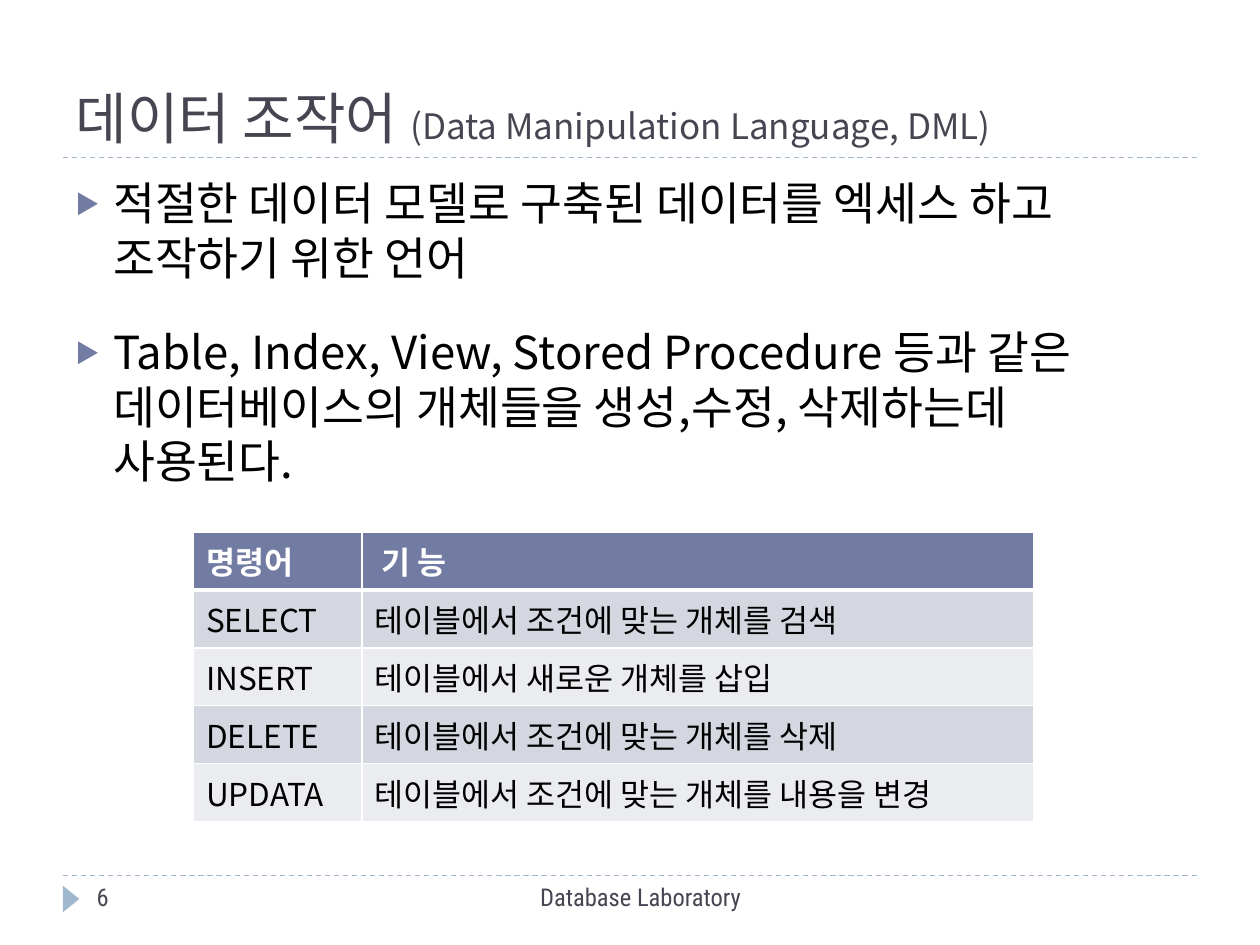
from dataclasses import dataclass

from pptx import Presentation
from pptx.dml.color import RGBColor
from pptx.enum.dml import MSO_LINE
from pptx.enum.shapes import MSO_CONNECTOR, MSO_SHAPE
from pptx.enum.text import MSO_ANCHOR, MSO_AUTO_SIZE, PP_ALIGN
from pptx.oxml import parse_xml
from pptx.oxml.ns import nsdecls
from pptx.util import Pt

KOREAN, CONDENSED = "Noto Sans CJK KR", "Roboto Condensed"
INK, BLACK, WHITE = "464653", "000000", "FFFFFF"
ACCENT, RULE = "727CA3", "9FB8CD"
BANDS = ("D5D7E0", "EBECF0")
MARGIN, CONTENT_WIDTH = 36, 648
RULE_HEIGHTS = (90, 500.4)
ROW_HEIGHT = 33.1
COLUMN_WIDTHS = (96.2, 383.8)


@dataclass(frozen=True)
class Frame:
    left: float
    top: float
    width: float
    height: float

    def lengths(self) -> tuple:
        return tuple(Pt(n) for n in (self.left, self.top, self.width, self.height))


@dataclass(frozen=True)
class Style:
    size: float
    color: str
    font: str = KOREAN
    bold: bool = False


@dataclass(frozen=True)
class Label:
    frame: Frame
    text: str
    align: PP_ALIGN


@dataclass(frozen=True)
class Command:
    name: str
    purpose: str


TITLE_FRAME = Frame(MARGIN, 12.2, CONTENT_WIDTH, 77.8)
BODY_FRAME = Frame(MARGIN, 96.5, CONTENT_WIDTH, 388)
TABLE_FRAME = Frame(110.6, 304, sum(COLUMN_WIDTHS), 5 * ROW_HEIGHT)
MARKER_FRAME = Frame(33.1, 509, 15.1, 9.4)

TITLE_SPANS = (
    ("데이터 조작어 ", Style(32, INK)),
    ("(Data Manipulation Language, DML)", Style(20, INK)),
)
POINTS = (
    "적절한 데이터 모델로 구축된 데이터를 엑세스 하고 조작하기 위한 언어",
    "Table, Index, View, Stored Procedure 등과 같은 데이터베이스의 개체들을 "
    "생성,수정, 삭제하는데 사용된다.",
)
COMMANDS = (
    Command("명령어", " 기 능"),
    Command("SELECT", "테이블에서 조건에 맞는 개체를 검색"),
    Command("INSERT", "테이블에서 새로운 개체를 삽입"),
    Command("DELETE", "테이블에서 조건에 맞는 개체를 삭제"),
    Command("UPDATA", "테이블에서 조건에 맞는 개체를 내용을 변경"),
)
FOOTERS = (
    Label(Frame(228.2, 500.4, 275.8, 28.8), "Database Laboratory", PP_ALIGN.CENTER),
    Label(Frame(48.2, 500.4, 156.2, 28.8), "6", PP_ALIGN.LEFT),
)


def rgb(color: str) -> RGBColor:
    return RGBColor.from_string(color)


def place(shape, frame: Frame) -> None:
    for name, length in zip(("left", "top", "width", "height"), frame.lengths()):
        setattr(shape, name, length)


def add_span(para, text: str, style: Style) -> None:
    span = para.add_run()
    span.text = text
    formats = {"size": Pt(style.size), "name": style.font, "bold": style.bold}
    for name, value in formats.items():
        setattr(span.font, name, value)
    span.font.color.rgb = rgb(style.color)
    # East Asian glyphs take their own typeface entry
    span.font._element.append(
        parse_xml(f'<a:ea {nsdecls("a")} typeface="{style.font}"/>'))


def add_box(page, frame: Frame):
    box = page.shapes.add_textbox(*frame.lengths())
    box.text_frame.word_wrap = True
    return box.text_frame


def add_bullet(para) -> None:
    properties = para._p.get_or_add_pPr()
    properties.set("marL", str(Pt(21.6)))
    properties.set("indent", str(Pt(-21.6)))
    for markup in (
        f'<a:buClr {nsdecls("a")}><a:srgbClr val="{ACCENT}"/></a:buClr>',
        f'<a:buSzPct {nsdecls("a")} val="54000"/>',
        f'<a:buFont {nsdecls("a")} typeface="{KOREAN}"/>',
        f'<a:buChar {nsdecls("a")} char="▶"/>',
    ):
        properties.append(parse_xml(markup))


def add_rule(page, top: float) -> None:
    rule = page.shapes.add_connector(
        MSO_CONNECTOR.STRAIGHT,
        Pt(MARGIN), Pt(top), Pt(MARGIN + CONTENT_WIDTH), Pt(top))
    rule.line.color.rgb = rgb(RULE)
    rule.line.width = Pt(0.75)
    rule.line.dash_style = MSO_LINE.DASH
    rule._element.spPr.append(parse_xml(f'<a:effectLst {nsdecls("a")}/>'))


def add_marker(page) -> None:
    marker = page.shapes.add_shape(
        MSO_SHAPE.ISOSCELES_TRIANGLE, *MARKER_FRAME.lengths())
    marker.rotation = 90
    marker.shadow.inherit = False
    marker.fill.solid()
    marker.fill.fore_color.rgb = rgb(RULE)
    marker.line.fill.background()


def fill_title(page) -> None:
    title = page.shapes.title
    place(title, TITLE_FRAME)
    formats = {
        "vertical_anchor": MSO_ANCHOR.BOTTOM,
        "auto_size": MSO_AUTO_SIZE.NONE,
        "word_wrap": True,
    }
    for name, value in formats.items():
        setattr(title.text_frame, name, value)
    para = title.text_frame.paragraphs[0]
    para.alignment = PP_ALIGN.LEFT
    for text, style in TITLE_SPANS:
        add_span(para, text, style)


def add_points(page) -> None:
    text_frame = add_box(page, BODY_FRAME)
    for index, point in enumerate(POINTS):
        para = text_frame.add_paragraph() if index else text_frame.paragraphs[0]
        para.space_before = Pt(23 if index else 0)
        add_bullet(para)
        add_span(para, point, Style(26, BLACK))


def add_borders(cell, bottom: float) -> None:
    properties = cell._tc.get_or_add_tcPr()
    for side, width in (("L", 1), ("R", 1), ("T", 1), ("B", bottom)):
        properties.append(parse_xml(
            f'<a:ln{side} {nsdecls("a")} w="{Pt(width)}"><a:solidFill>'
            f'<a:srgbClr val="{WHITE}"/></a:solidFill></a:ln{side}>'))


def add_command_table(page) -> None:
    table = page.shapes.add_table(
        len(COMMANDS), len(COLUMN_WIDTHS), *TABLE_FRAME.lengths()).table
    for column, width in zip(table.columns, COLUMN_WIDTHS):
        column.width = Pt(width)
    for index, command in enumerate(COMMANDS):
        header = index == 0
        table.rows[index].height = Pt(ROW_HEIGHT)
        style = Style(18, WHITE if header else BLACK, bold=header)
        for cell, text in zip(table.rows[index].cells, (command.name, command.purpose)):
            add_borders(cell, 3 if header else 1)
            cell.fill.solid()
            cell.fill.fore_color.rgb = rgb(ACCENT if header else BANDS[(index - 1) % 2])
            add_span(cell.text_frame.paragraphs[0], text, style)


def add_footer(page, label: Label) -> None:
    para = add_box(page, label.frame).paragraphs[0]
    para.alignment = label.align
    add_span(para, label.text, Style(14, INK, CONDENSED))


def main() -> None:
    deck = Presentation()
    deck.slide_width, deck.slide_height = Pt(720), Pt(540)
    page = deck.slides.add_slide(deck.slide_layouts[5])
    for top in RULE_HEIGHTS:
        add_rule(page, top)
    add_marker(page)
    fill_title(page)
    add_points(page)
    for label in FOOTERS:
        add_footer(page, label)
    add_command_table(page)
    deck.save("out.pptx")


if __name__ == "__main__":
    main()
